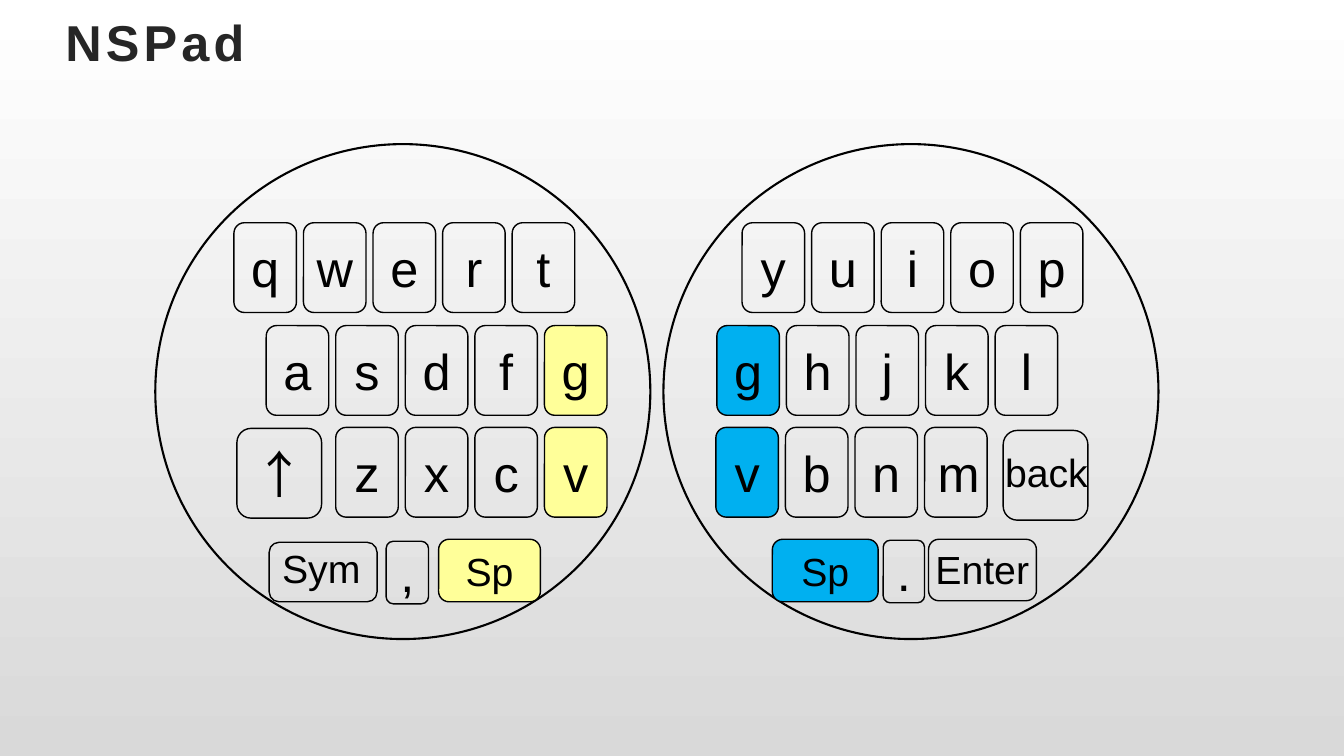
from pptx import Presentation
from pptx.dml.color import RGBColor
from pptx.enum.shapes import MSO_SHAPE
from pptx.enum.text import MSO_ANCHOR, MSO_AUTO_SIZE, PP_ALIGN
from pptx.oxml.ns import qn
from pptx.util import Pt
from lxml.etree import SubElement

PX = 9144  # EMU per px, 100 px to the inch
COLORS = {"black": "000000", "title": "262626", "yellow": "FFFF99", "blue": "00B0F0",
          "bg_top": "FFFFFF", "bg_bottom": "D9D9D9"}
KEY_W, KEY_H, KEY_PITCH = 62, 89, 69


def rgb(name):
    return RGBColor.from_string(COLORS[name])


class Deck:
    def __init__(self, width, height):
        self.prs = Presentation()
        self.prs.slide_width, self.prs.slide_height = width * PX, height * PX
        self.s = self.prs.slides.add_slide(self.prs.slide_layouts[6])
        self.shapes = self.s.shapes

    def background(self, top, bottom):
        fill = self.s.background.fill
        fill.gradient()
        fill.gradient_angle = 270
        for stop, name, position in zip(fill.gradient_stops, (top, bottom), (0, 1)):
            stop.color.rgb = rgb(name)
            stop.position = position

    def group(self):
        """Send the shapes that follow into a new group."""
        self.shapes = self.s.shapes.add_group_shape().shapes

    def set_text(self, sp, text, size, color="black", font="Arial", bold=None, spacing=0,
                 align=None, **frame):
        tf = sp.text_frame
        for name, value in frame.items():
            setattr(tf, name, value)
        p = tf.paragraphs[0]
        p.alignment = align
        r = p.add_run()
        r.text = text
        for name, value in {"size": Pt(size), "name": font, "bold": bold}.items():
            setattr(r.font, name, value)
        r.font.color.rgb = rgb(color)
        rPr = r._r.get_or_add_rPr()
        SubElement(rPr, qn("a:ea")).set("typeface", font)
        if spacing:
            rPr.set("spc", str(spacing * 100))

    def outline(self, kind, box, fill=None, weight=1):
        sp = self.shapes.add_shape(kind, *(v * PX for v in box))
        sp.shadow.inherit = False
        if fill:
            sp.fill.solid()
            sp.fill.fore_color.rgb = rgb(fill)
        else:
            sp.fill.background()
        sp.line.color.rgb = rgb("black")
        sp.line.width = Pt(weight)
        return sp

    def pad(self, x):
        self.outline(MSO_SHAPE.OVAL, (x, 143, 491, 491), weight=1.5)

    def key(self, box, text="", size=36, fill=None, font="Arial"):
        sp = self.outline(MSO_SHAPE.ROUNDED_RECTANGLE, box, fill)
        if text:
            self.set_text(sp, text, size, font=font, align=PP_ALIGN.CENTER,
                          vertical_anchor=MSO_ANCHOR.MIDDLE, word_wrap=True)

    def key_row(self, x, y, letters, shared, fill):
        """Draw equally spaced letter keys, filling those both pads share."""
        for i, letter in enumerate(letters):
            self.key((x + i * KEY_PITCH, y, KEY_W, KEY_H), letter,
                     fill=fill if letter in shared else None)

    def label(self, box, text, size, **style):
        sp = self.shapes.add_textbox(*(v * PX for v in box))
        self.set_text(sp, text, size, **style)


PADS = [
    {"x": 154, "fill": "yellow",
     "rows": [(232, 221, "qwert"), (264, 323, "asdfg"), (333, 424, "zxcv")],
     "keys": [((235, 425, 84, 89), "↑", 36, None, "Noto Sans CJK JP"),
              ((435, 535, 101, 62), "Sp", 28, "yellow"),
              ((383, 537, 42, 62), ","),
              ((267, 538, 107, 59),)],
     "labels": [((270, 535, 136, 57), "Sym", True)]},
    {"x": 658, "fill": "blue",
     "rows": [(736, 221, "yuiop"), (711, 323, "ghjkl"), (710, 424, "vbnm")],
     "keys": [((995, 427, 84, 89),),
              ((921, 535, 107, 61),),
              ((766, 535, 105, 62), "Sp", 28, "blue"),
              ((876, 536, 41, 62), ".")],
     "labels": [((987, 440, 103, 57), "back", False),
                ((918, 536, 213, 57), "Enter", True)]},
]


def main():
    deck = Deck(1333, 750)
    deck.background("bg_top", "bg_bottom")
    deck.label((55, 3, 1200, 77), "NSPad", 36, color="title", bold=True, spacing=3,
               word_wrap=True, vertical_anchor=MSO_ANCHOR.MIDDLE)
    for pad in PADS:
        deck.group()
        deck.pad(pad["x"])
        for row in pad["rows"]:
            deck.key_row(*row, shared="gv", fill=pad["fill"])
        for key in pad["keys"]:
            deck.key(*key)
        for box, text, wrap in pad["labels"]:
            deck.label(box, text, 28, word_wrap=wrap,
                       auto_size=MSO_AUTO_SIZE.SHAPE_TO_FIT_TEXT)
    deck.prs.save("out.pptx")


if __name__ == "__main__":
    main()
